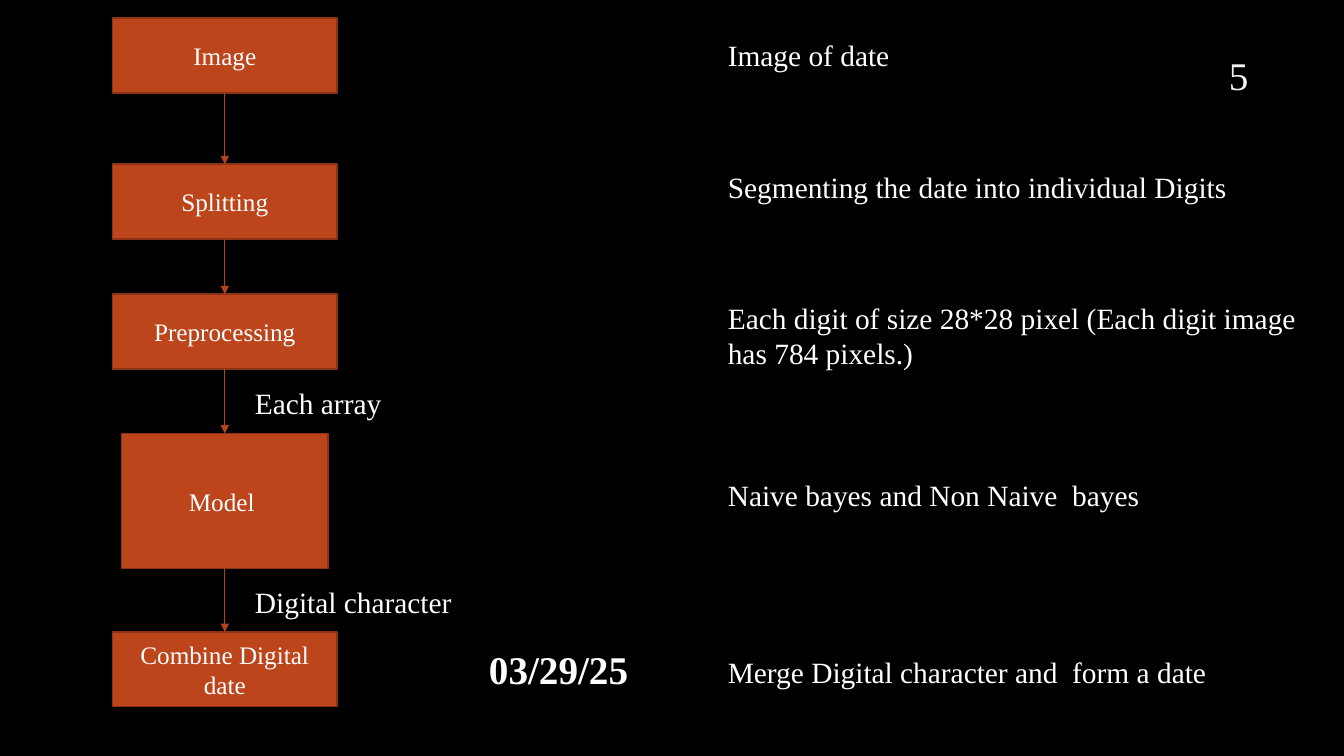
from pptx import Presentation
from pptx.dml.color import RGBColor
from pptx.enum.shapes import MSO_CONNECTOR, MSO_SHAPE
from pptx.enum.text import MSO_ANCHOR, PP_ALIGN
from pptx.oxml.ns import qn
from pptx.util import Inches, Pt
from lxml import etree

RECTANGLE = MSO_SHAPE.RECTANGLE
STRAIGHT = MSO_CONNECTOR.STRAIGHT
TOP, MIDDLE = MSO_ANCHOR.TOP, MSO_ANCHOR.MIDDLE
LEFT, CENTER, RIGHT = PP_ALIGN.LEFT, PP_ALIGN.CENTER, PP_ALIGN.RIGHT

FONT = "Times New Roman"
BLACK, WHITE, PALE = "000000", "FFFFFF", "F2F2F2"
RUST, DARK_RUST, ARROW_RUST = "BC451B", "8B3314", "B4421A"

# label, top, width, height
STEPS = [
    ("Image", 0.18, 2.23, 0.74),
    ("Splitting", 1.63, 2.23, 0.74),
    ("Preprocessing", 2.92, 2.23, 0.74),
    ("Model ", 4.3, 2.05, 1.34),
    ("Combine Digital date", 6.27, 2.23, 0.74),
]
# text, top, height
ARROW_LABELS = [("Each array", 3.77, 0.45), ("Digital character", 5.75, 0.45)]
DESCRIPTIONS = [
    ("Image of date", 0.32, 0.45),
    ("Segmenting the date into individual Digits", 1.63, 0.45),
    ("Each digit of size 28*28 pixel (Each digit image has 784 pixels.)", 2.93, 0.81),
    ("Naive bayes and Non Naive  bayes", 4.68, 0.45),
    ("Merge Digital character and  form a date", 6.44, 0.45),
]


def color(hex_code):
    return RGBColor.from_string(hex_code)


def write(holder, text, size=21, hex_code=WHITE, bold=False, align=LEFT, anchor=TOP):
    frame = holder.text_frame
    frame.word_wrap = True
    frame.vertical_anchor = anchor
    paragraph = frame.paragraphs[0]
    paragraph.text = text
    paragraph.alignment = align
    font = paragraph.font
    font.name, font.size, font.bold = FONT, Pt(size), bold
    font.color.rgb = color(hex_code)


def add_text(slide, text, left, top, width, height, **formats):
    box = slide.shapes.add_textbox(Inches(left), Inches(top), Inches(width), Inches(height))
    write(box, text, **formats)


def add_step(slide, label, center, top, width, height):
    step = slide.shapes.add_shape(RECTANGLE, Inches(center - width / 2), Inches(top),
                                  Inches(width), Inches(height))
    step.shadow.inherit = False
    step.fill.solid()
    step.fill.fore_color.rgb = color(RUST)
    step.line.color.rgb = color(DARK_RUST)
    step.line.width = Pt(1.25)
    write(step, label, size=18, align=CENTER, anchor=MIDDLE)
    return step


def add_arrow(slide, upper, lower):
    """Join the bottom of one step to the top of the next."""
    arrow = slide.shapes.add_connector(STRAIGHT, 0, 0, 0, 0)
    arrow.begin_connect(upper, 2)
    arrow.end_connect(lower, 0)
    arrow.line.color.rgb = color(ARROW_RUST)
    arrow.line.width = Pt(0.75)
    etree.SubElement(arrow.line._get_or_add_ln(), qn("a:tailEnd"), type="triangle")
    etree.SubElement(arrow._element.spPr, qn("a:effectLst"))


def add_flow(slide, center):
    steps = [add_step(slide, label, center, *box) for label, *box in STEPS]
    for upper, lower in zip(steps, steps[1:]):
        add_arrow(slide, upper, lower)
    for text, top, height in ARROW_LABELS:
        add_text(slide, text, center + 0.2, top, 2.58, height)


def add_descriptions(slide, left, width):
    for text, top, height in DESCRIPTIONS:
        add_text(slide, text, left, top, width, height)


def main():
    deck = Presentation()
    deck.slide_width, deck.slide_height = Inches(13.33), Inches(7.5)
    slide = deck.slides.add_slide(deck.slide_layouts[6])
    slide.background.fill.solid()
    slide.background.fill.fore_color.rgb = color(BLACK)

    add_flow(slide, center=2.23)
    add_descriptions(slide, left=7.12, width=6.21)
    add_text(slide, "03/29/25", 4.28, 6.35, 2.52, 0.57, size=28, bold=True, align=CENTER)
    add_text(slide, "5", 11.66, 0.54, 0.82, 0.4, size=28, hex_code=PALE,
             align=RIGHT, anchor=MIDDLE)
    deck.save("out.pptx")


if __name__ == "__main__":
    main()
